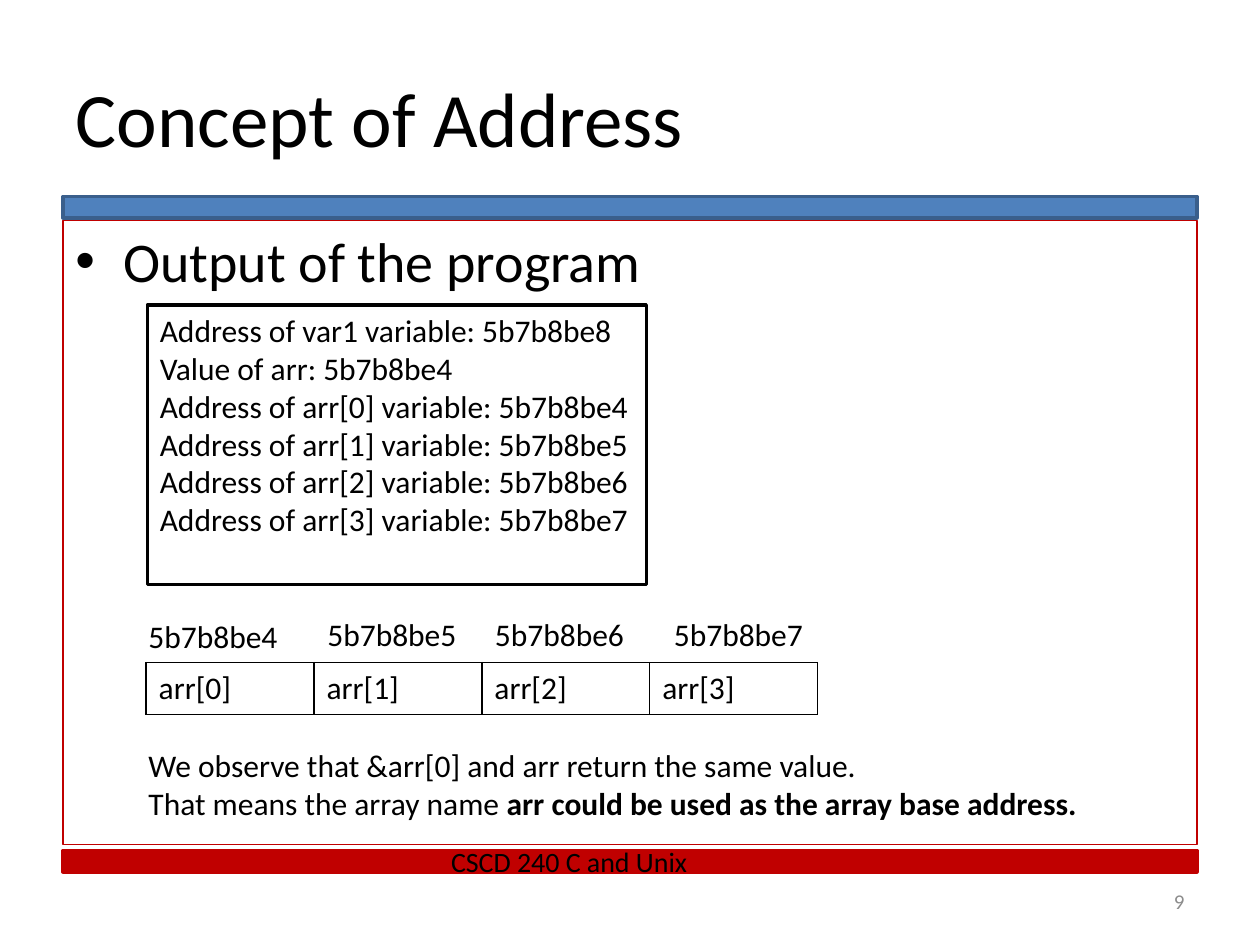
"""Build the Concept of Address slide."""
import pptx
import pptx.util
import pptx.dml.color
import pptx.enum.shapes
import pptx.enum.text
import pptx.oxml
import pptx.oxml.ns

Inches = pptx.util.Inches
Pt = pptx.util.Pt
RGBColor = pptx.dml.color.RGBColor
MIDDLE = pptx.enum.text.MSO_ANCHOR.MIDDLE
LEFT = pptx.enum.text.PP_ALIGN.LEFT
RIGHT = pptx.enum.text.PP_ALIGN.RIGHT

BLACK = RGBColor(0x00, 0x00, 0x00)
WHITE = RGBColor(0xFF, 0xFF, 0xFF)
RED = RGBColor(0xC0, 0x00, 0x00)
BLUE = RGBColor(0x4F, 0x81, 0xBD)
DARK_BLUE = RGBColor(0x3A, 0x5F, 0x8C)
GRAY = RGBColor(0x8C, 0x8C, 0x8C)


def format_paragraph(para, size, color=BLACK, align=LEFT):
    para.font.name = "Calibri"
    para.font.size = Pt(size)
    para.font.color.rgb = color
    para.alignment = align


def add_text(page, place, lines, size=18, wrap=False, color=BLACK, align=LEFT):
    box = page.shapes.add_textbox(*map(Inches, place))
    box.text_frame.word_wrap = wrap
    box.text_frame.text = "\n".join(lines)
    for para in box.text_frame.paragraphs:
        format_paragraph(para, size, color, align)
    return box


deck = pptx.Presentation()
deck.slide_width = Inches(10)
deck.slide_height = Inches(7.5)
page = deck.slides.add_slide(deck.slide_layouts[5])

title = page.shapes.title
title.left, title.top, title.width, title.height = map(Inches, (0.5, 0.3, 9, 1.25))
title.text_frame.text = "Concept of Address"
title.text_frame.vertical_anchor = MIDDLE
format_paragraph(title.text_frame.paragraphs[0], 44)

body = add_text(page, (0.5, 1.75, 9, 4.95), ["Output of the program"], 32, wrap=True)
body.line.color.rgb = RED
body.line.width = Pt(0.75)
heading = body.text_frame.paragraphs[0]
heading.space_before = Pt(6.4)
properties = heading._p.get_or_add_pPr()
properties.set("marL", str(Inches(0.38)))
properties.set("indent", str(Inches(-0.38)))
for tag, attribute, value in (("buFont", "typeface", "Arial"), ("buChar", "char", "•")):
    properties.append(pptx.oxml.parse_xml(
        f'<a:{tag} {pptx.oxml.ns.nsdecls("a")} {attribute}="{value}"/>'))

for top, fill, outline in ((1.56, BLUE, DARK_BLUE), (6.75, RED, RED)):
    bar = page.shapes.add_shape(
        pptx.enum.shapes.MSO_SHAPE.RECTANGLE,
        Inches(0.5), Inches(top), Inches(9), Inches(0.17))
    bar.shadow.inherit = False
    bar.fill.solid()
    bar.fill.fore_color.rgb = fill
    bar.line.color.rgb = outline
    bar.line.width = Pt(2)

footer = add_text(page, (3.58, 6.7, 3.42, 0.27), ["CSCD 240 C and Unix"], 16, wrap=True)
frame = footer.text_frame
frame.margin_left = frame.margin_top = frame.margin_right = frame.margin_bottom = 0

number = add_text(page, (7.17, 6.95, 2.33, 0.4), ["9"], 12, True, GRAY, RIGHT)
number.text_frame.vertical_anchor = MIDDLE

addresses = [f"5b7b8be{digit}" for digit in range(4, 8)]
output_lines = ["Address of var1 variable: 5b7b8be8", "Value of arr: 5b7b8be4"]
output_lines += [f"Address of arr[{index}] variable: {address}"
                 for index, address in enumerate(addresses)]
output = add_text(page, (1.17, 2.42, 3.96, 2.22), output_lines)
output.fill.solid()
output.fill.fore_color.rgb = WHITE
output.line.color.rgb = BLACK
output.line.width = Pt(2)

array_frame = page.shapes.add_table(
    1, 4, Inches(1.16), Inches(5.26), Inches(5.33), Inches(0.41))
array_table = array_frame.table
array_table.first_row = False
array_table.horz_banding = False
for index, cell in enumerate(array_table.rows[0].cells):
    cell.text = f"arr[{index}]"
    format_paragraph(cell.text_frame.paragraphs[0], 18)
    cell.fill.background()
    for position, side in enumerate(("lnL", "lnR", "lnT", "lnB")):
        border = pptx.oxml.parse_xml(
            f'<a:{side} {pptx.oxml.ns.nsdecls("a")} w="{Pt(1)}">'
            f'<a:solidFill><a:srgbClr val="{BLACK}"/></a:solidFill></a:{side}>')
        cell._tc.get_or_add_tcPr().insert(position, border)

label_places = ((1.08, 4.85), (2.5, 4.83), (3.83, 4.83), (5.25, 4.83))
for (left, top), address in zip(label_places, addresses):
    add_text(page, (left, top, 1.24, 0.4), [address])

remark = add_text(page, (1.08, 5.87, 7.61, 0.71), [
    "We observe that &arr[0] and arr return the same value.",
    "That means the array name "])
span = remark.text_frame.paragraphs[1].add_run()
span.text = "arr could be used as the array base address."
span.font.bold = True

deck.save("out.pptx")
